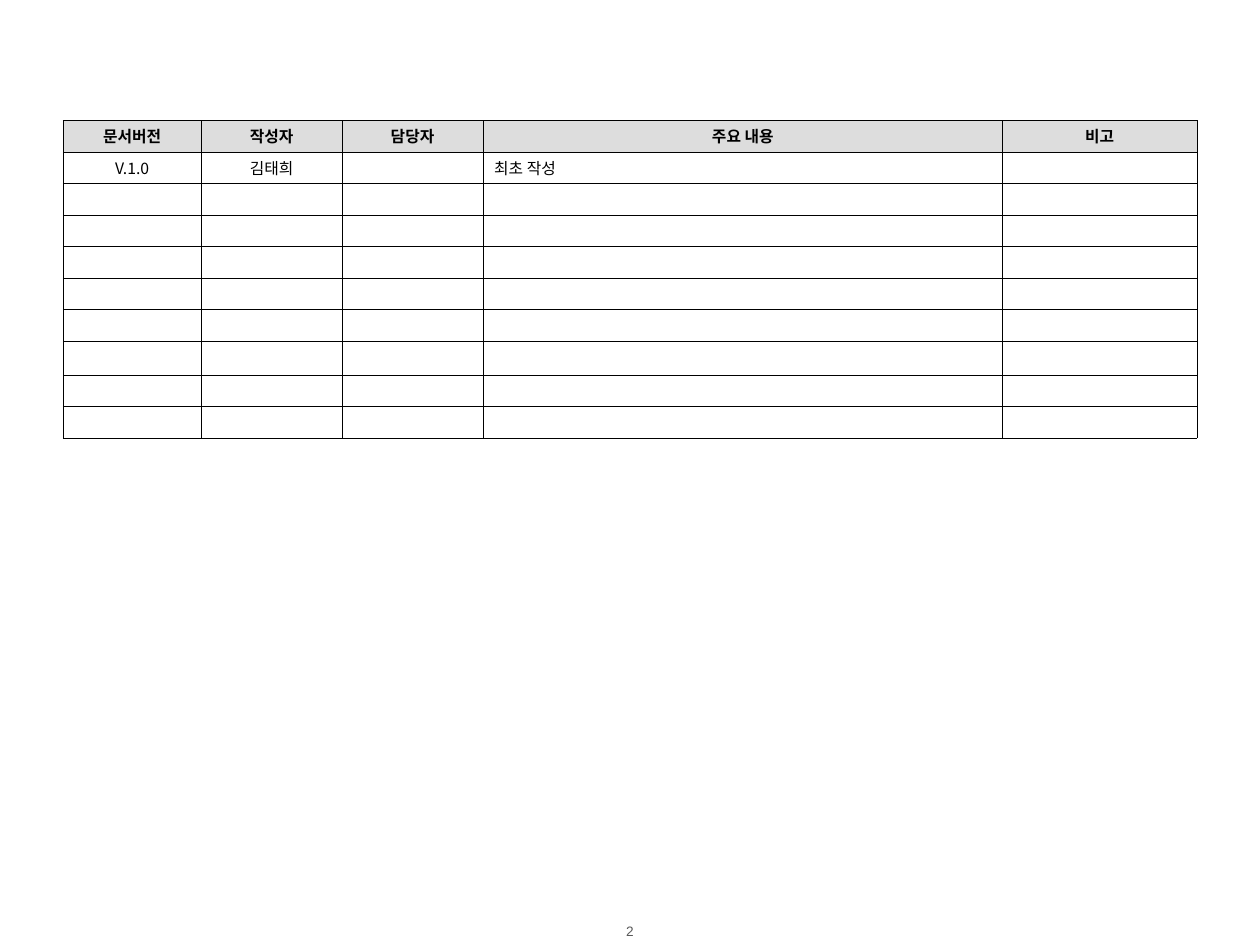
import pptx
import pptx.dml.color
import pptx.enum.text
import pptx.oxml.ns
import pptx.util
from lxml import etree

Pt = pptx.util.Pt
ALIGN = pptx.enum.text.PP_ALIGN
ANCHOR = pptx.enum.text.MSO_ANCHOR
qn = pptx.oxml.ns.qn

COLORS = {"border": "000000", "text": "000000", "header": "DDDDDD", "page": "595959"}
TABLE_FONT = "Noto Sans CJK KR"
COLUMN_WIDTHS = [79, 80.5, 80.5, 297, 111]
ROW_HEIGHTS = [18] * 7 + [19.5] + [18] * 2
CONTENT = [
    ["문서버전", "작성자", "담당당자".replace("당당", "당"), "주요 내용", "비고"],
    ["V.1.0", "김태희", "", "최초 작성", ""],
]
CONTENT[0][2] = "담당자"
CONTENT_COLUMN = 3


def color(name):
    return pptx.dml.color.RGBColor.from_string(COLORS[name])


def style_paragraph(paragraph, font_name, size, color_name, bold=False):
    font = paragraph.font
    font.name, font.size, font.bold = font_name, Pt(size), bold
    font.color.rgb = color(color_name)


def add_borders(cell):
    properties = cell._tc.get_or_add_tcPr()
    for index, side in enumerate(("lnL", "lnR", "lnT", "lnB")):
        line = etree.Element(qn(f"a:{side}"), w=str(Pt(0.25)))
        fill = etree.SubElement(line, qn("a:solidFill"))
        etree.SubElement(fill, qn("a:srgbClr"), val=COLORS["border"])
        properties.insert(index, line)


def fill_cell(cell, text, is_header, alignment):
    cell.vertical_anchor = ANCHOR.MIDDLE
    cell.margin_left = cell.margin_right = Pt(6.5)
    cell.margin_top = cell.margin_bottom = Pt(1.5)
    if is_header:
        cell.fill.solid()
        cell.fill.fore_color.rgb = color("header")
    else:
        cell.fill.background()
    add_borders(cell)
    paragraph = cell.text_frame.paragraphs[0]
    paragraph.alignment = alignment
    paragraph.space_before = Pt(1.8)
    style_paragraph(paragraph, TABLE_FONT, 9, "text", is_header)
    if text:
        run = paragraph.add_run()
        run.text = text
        # Korean glyphs take the East Asian typeface
        for properties in (paragraph.font._element, run.font._element):
            etree.SubElement(properties, qn("a:ea"), typeface=TABLE_FONT)
    else:
        # Empty cells keep the small text size so rows do not grow
        etree.SubElement(paragraph._p, qn("a:endParaRPr"), sz="900")


def add_history_table(slide):
    frame = slide.shapes.add_table(
        len(ROW_HEIGHTS), len(COLUMN_WIDTHS), Pt(36), Pt(68.75),
        Pt(sum(COLUMN_WIDTHS)), Pt(sum(ROW_HEIGHTS)))
    table = frame.table
    table.horz_banding = False
    for column, width in zip(table.columns, COLUMN_WIDTHS):
        column.width = Pt(width)
    for row_index, height in enumerate(ROW_HEIGHTS):
        table.rows[row_index].height = Pt(height)
        for column_index in range(len(COLUMN_WIDTHS)):
            text = CONTENT[row_index][column_index] if row_index < len(CONTENT) else ""
            is_header = row_index == 0
            is_left = column_index == CONTENT_COLUMN and not is_header
            fill_cell(table.cell(row_index, column_index), text, is_header,
                      ALIGN.LEFT if is_left else ALIGN.CENTER)


def add_page_number(slide, number):
    frame = slide.shapes.add_textbox(Pt(329), Pt(527), Pt(62), Pt(10)).text_frame
    frame.word_wrap = True
    frame.vertical_anchor = ANCHOR.MIDDLE
    frame.margin_left = frame.margin_right = frame.margin_top = frame.margin_bottom = 0
    paragraph = frame.paragraphs[0]
    paragraph.text = number
    paragraph.alignment = ALIGN.CENTER
    style_paragraph(paragraph, "Arial", 7.8, "page")


def main():
    presentation = pptx.Presentation()
    presentation.slide_width, presentation.slide_height = Pt(720), Pt(540)
    slide = presentation.slides.add_slide(presentation.slide_layouts[6])
    # Page number
    add_page_number(slide, "2")
    # Document history
    add_history_table(slide)
    presentation.save("out.pptx")


main()
